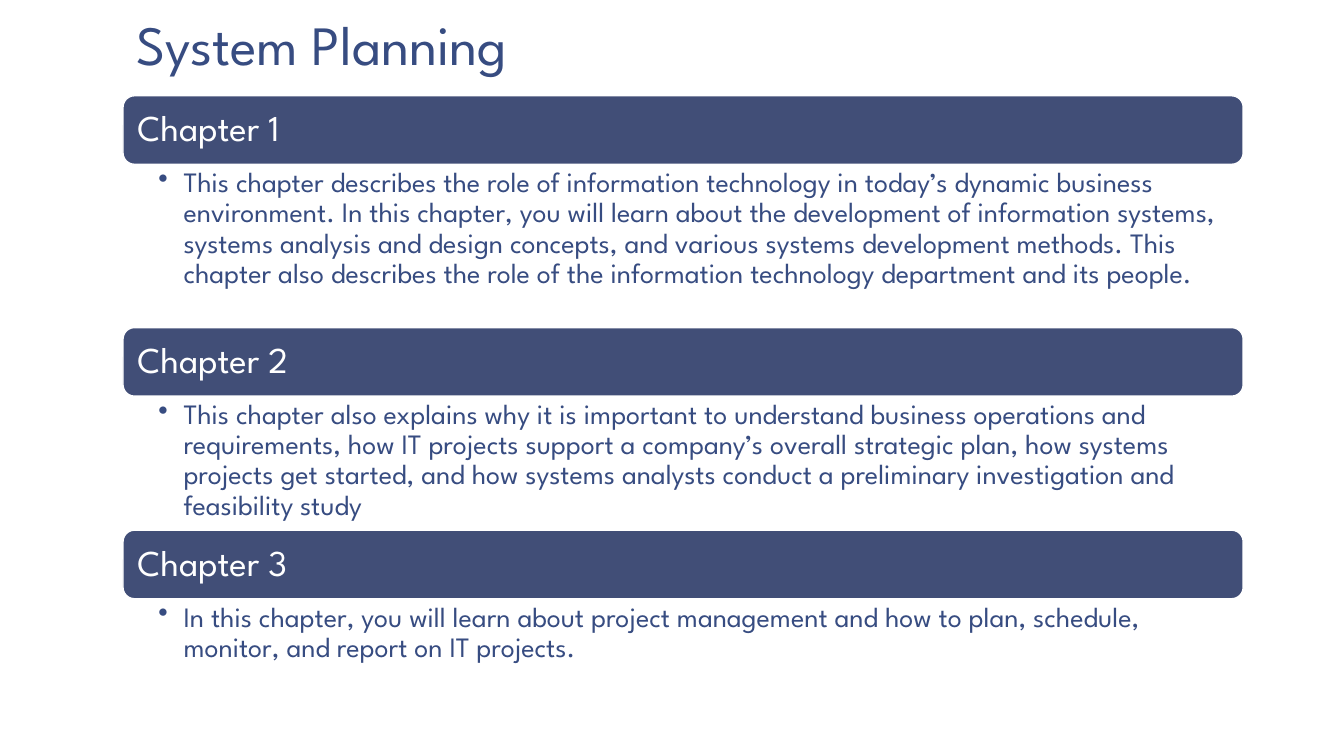
from lxml.etree import SubElement
from pptx import Presentation
from pptx.dml.color import RGBColor
from pptx.enum.shapes import MSO_SHAPE as Shape
from pptx.enum.text import MSO_ANCHOR as Anchor, PP_ALIGN as Align
from pptx.oxml.ns import qn
from pptx.util import Inches, Pt

NAVY = RGBColor(0x41, 0x4E, 0x77)
BLUE = RGBColor(0x37, 0x4C, 0x81)
WHITE = RGBColor(0xFF, 0xFF, 0xFF)
FONT = "League Spartan"

LEFT, WIDTH = 1.22, 11.11
BAR_HEIGHT = 0.68

# Top of the bar, height of the description, heading, description
CHAPTERS = [
    (0.95, 1.62, "Chapter 1",
     "This chapter describes the role of information technology in today’s "
     "dynamic business environment. In this chapter, you will learn about the "
     "development of information systems, systems analysis and design concepts, "
     "and various systems development methods. This chapter also describes the "
     "role of the information technology department and its people."),
    (3.25, 1.32, "Chapter 2",
     "This chapter also explains why it is important to understand business "
     "operations and requirements, how IT projects support a company’s overall "
     "strategic plan, how systems projects get started, and how systems analysts "
     "conduct a preliminary investigation and feasibility study"),
    (5.26, 0.69, "Chapter 3",
     "In this chapter, you will learn about project management and how to plan, "
     "schedule, monitor, and report on IT projects."),
]


def write_text(shape, text, size, color, insets, anchor=Anchor.TOP, spacing=0.9):
    """Fill a shape with one paragraph; insets are left, top, right, bottom."""
    frame = shape.text_frame
    frame.word_wrap = True
    frame.vertical_anchor = anchor
    for side, inset in zip(("left", "top", "right", "bottom"), insets):
        setattr(frame, f"margin_{side}", Inches(inset))
    para = frame.paragraphs[0]
    para.alignment = Align.LEFT
    para.line_spacing = spacing
    span = para.add_run()
    span.text = text
    for name, value in {"name": FONT, "size": Pt(size)}.items():
        setattr(span.font, name, value)
    span.font.color.rgb = color
    return para


def add_bullet(para):
    properties = para._p.get_or_add_pPr()
    properties.set("marL", str(Inches(0.25)))
    properties.set("indent", str(Inches(-0.25)))
    SubElement(properties, qn("a:buChar"), char="•")


def add_text_box(slide, top, height):
    return slide.shapes.add_textbox(
        Inches(LEFT), Inches(top), Inches(WIDTH), Inches(height))


def add_bar(slide, top, heading):
    bar = slide.shapes.add_shape(
        Shape.ROUNDED_RECTANGLE,
        Inches(LEFT), Inches(top), Inches(WIDTH), Inches(BAR_HEIGHT))
    bar.shadow.inherit = False
    bar.fill.solid()
    bar.fill.fore_color.rgb = NAVY
    bar.line.color.rgb = WHITE
    bar.line.width = Pt(1)
    # The rounded corners add a little inset of their own
    write_text(bar, heading, 26, WHITE, (0.11, 0.11, 0.11, 0.11), Anchor.MIDDLE)


def add_description(slide, top, height, text):
    box = add_text_box(slide, top, height)
    add_bullet(write_text(box, text, 20, BLUE, (0.35, 0.04, 0.2, 0.04)))


def main():
    deck = Presentation()
    deck.slide_width, deck.slide_height = Inches(13.33), Inches(7.5)
    slide = deck.slides.add_slide(deck.slide_layouts[6])

    title = add_text_box(slide, 0.08, 0.75)
    write_text(title, "System Planning", 39.6, BLUE,
               (0.13, 0.07, 0.13, 0.07), Anchor.BOTTOM, 0.85)

    for top, height, heading, description in CHAPTERS:
        add_bar(slide, top, heading)
        add_description(slide, top + BAR_HEIGHT, height, description)

    deck.save("out.pptx")


if __name__ == "__main__":
    main()
